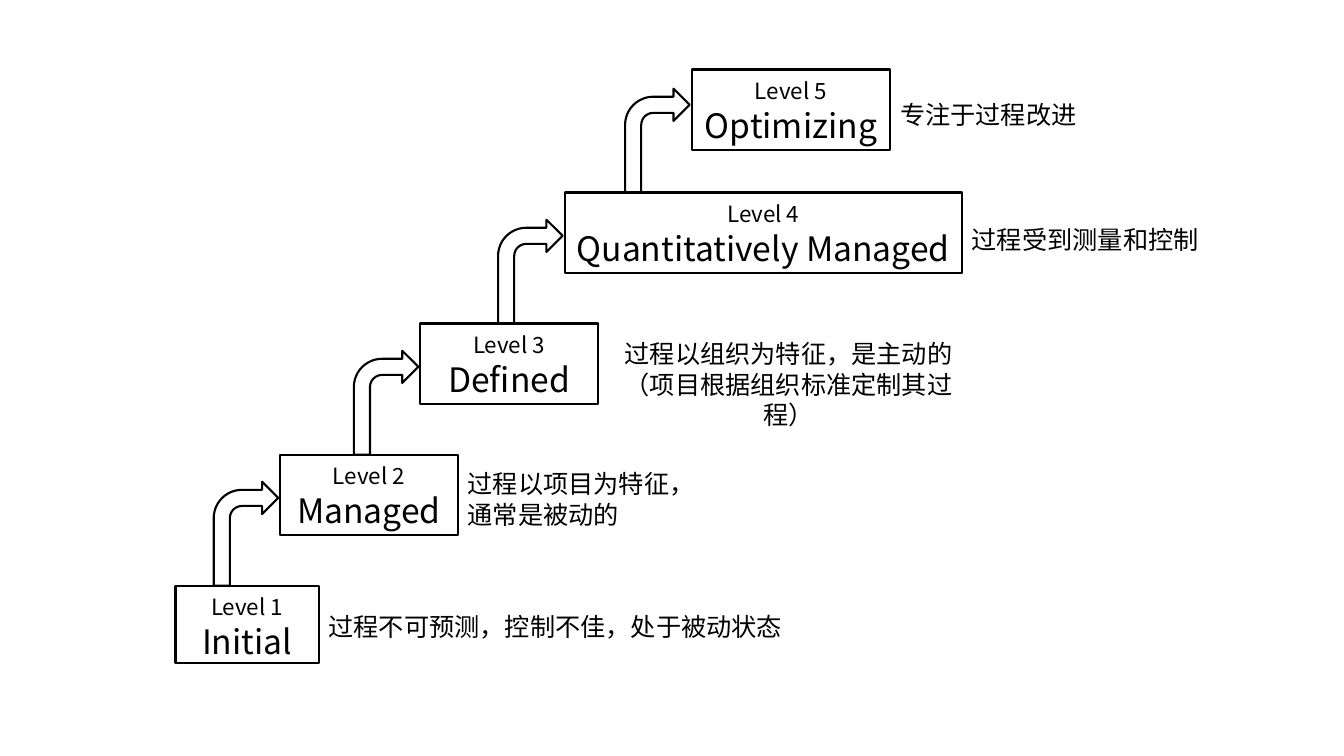
from dataclasses import dataclass

from pptx import Presentation
from pptx.dml.color import RGBColor
from pptx.enum.shapes import MSO_SHAPE as Shape
from pptx.enum.text import MSO_ANCHOR as Anchor, PP_ALIGN as Align
from pptx.oxml.ns import qn
from pptx.oxml.xmlchemy import OxmlElement
from pptx.shapes.autoshape import Shape as AutoShape
from pptx.slide import Slide
from pptx.text.text import TextFrame
from pptx.util import Inches, Pt

BLACK = RGBColor(0, 0, 0)
FONT = "Noto Sans CJK SC"
ARROW_W, ARROW_H, ARROW_GAP = 0.64, 1.03, 0.02


@dataclass(frozen=True)
class Level:
    """One maturity step; lengths are in inches."""
    name: str
    left: float
    top: float
    width: float
    height: float
    note: tuple[str, ...]
    note_top: float
    note_width: float
    note_align: Align = Align.LEFT

    @property
    def right(self) -> float:
        return self.left + self.width


LEVELS = [
    Level("Initial", 1.74, 5.81, 1.42, 0.77,
          ("过程不可预测，控制不佳，处于被动状态",), 6.01, 4.77),
    Level("Managed", 2.78, 4.51, 1.76, 0.8,
          ("过程以项目为特征，", "通常是被动的"), 4.59, 2.38),
    Level("Defined", 4.17, 3.21, 1.76, 0.8,
          ("过程以组织为特征，是主动的", "（项目根据组织标准定制其过程）"),
          3.3, 3.78, Align.CENTER),
    Level("Quantitatively Managed", 5.6, 1.91, 3.94, 0.8,
          ("过程受到测量和控制",), 2.17, 2.54),
    Level("Optimizing", 6.86, 0.69, 1.97, 0.8,
          ("专注于过程改进",), 0.93, 2.54),
]


def write(tf: TextFrame, lines: list[tuple[str, int, int]], align: Align) -> None:
    """Fill a frame with lines of (text, size, line pitch)."""
    tf.vertical_anchor = Anchor.TOP
    for i, (text, size, pitch) in enumerate(lines):
        p = tf.add_paragraph() if i else tf.paragraphs[0]
        p.text, p.alignment, p.line_spacing = text, align, Pt(pitch)
        p.font.name, p.font.size = FONT, Pt(size)
        p.font.color.rgb = BLACK
        # The East Asian typeface has no public setter
        ea = OxmlElement("a:ea")
        ea.set("typeface", FONT)
        p._p.pPr.find(qn("a:defRPr")).append(ea)


def add_outline(s: Slide, kind: Shape, left: float, top: float,
                width: float, height: float) -> AutoShape:
    sp = s.shapes.add_shape(kind, Inches(left), Inches(top),
                            Inches(width), Inches(height))
    sp.shadow.inherit = False
    sp.fill.background()
    sp.line.color.rgb = BLACK
    sp.line.width = Pt(1.5)
    return sp


def add_level(s: Slide, number: int, level: Level) -> None:
    box = add_outline(s, Shape.RECTANGLE, level.left, level.top,
                      level.width, level.height)
    box.text_frame.word_wrap = False
    box.text_frame.margin_top = Inches(0.06)
    write(box.text_frame,
          [(f"Level {number}", 16, 20), (level.name, 24, 30)], Align.CENTER)


def add_note(s: Slide, level: Level) -> None:
    sp = s.shapes.add_textbox(Inches(level.right), Inches(level.note_top),
                              Inches(level.note_width),
                              Inches(0.1 + 0.3 * len(level.note)))
    sp.text_frame.word_wrap = True
    write(sp.text_frame, [(line, 18, 22) for line in level.note],
          level.note_align)


prs = Presentation()
prs.slide_width, prs.slide_height = Inches(13.33), Inches(7.5)
s = prs.slides.add_slide(prs.slide_layouts[6])

# Level boxes with their descriptions
for number, level in enumerate(LEVELS, 1):
    add_level(s, number, level)
    add_note(s, level)

# Arrows rise from each box to the left side of the next
for lower, upper in zip(LEVELS, LEVELS[1:]):
    add_outline(s, Shape.BENT_ARROW, upper.left - ARROW_GAP - ARROW_W,
                lower.top - ARROW_H, ARROW_W, ARROW_H)

prs.save("out.pptx")
